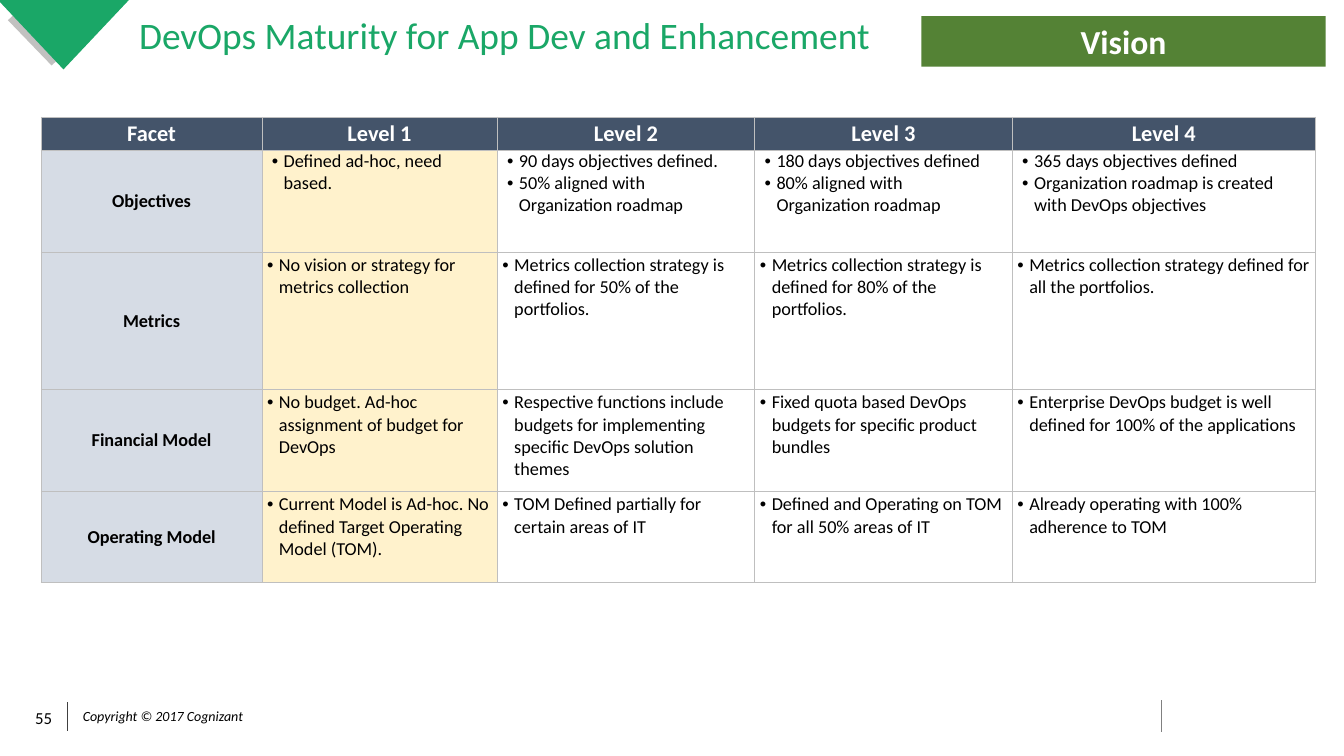
from dataclasses import dataclass

from lxml import etree
from pptx import Presentation
from pptx.dml.color import RGBColor
from pptx.enum.shapes import MSO_CONNECTOR, MSO_SHAPE
from pptx.enum.text import MSO_ANCHOR, PP_ALIGN
from pptx.oxml.ns import qn
from pptx.util import Cm, Pt

LEFT, CENTER = PP_ALIGN.LEFT, PP_ALIGN.CENTER
TOP, MIDDLE = MSO_ANCHOR.TOP, MSO_ANCHOR.MIDDLE
RECTANGLE, STRAIGHT = MSO_SHAPE.RECTANGLE, MSO_CONNECTOR.STRAIGHT
TITLE_ONLY = 5


@dataclass(frozen=True)
class Theme:
    font: str = "Calibri"
    green: str = "1AA767"
    badge: str = "548235"
    shade: str = "C1C1C0"
    header: str = "44546A"
    facet: str = "D6DCE5"
    current: str = "FFF2CC"
    border: str = "BFBFBF"
    dark_rule: str = "404040"
    light_rule: str = "808080"
    white: str = "FFFFFF"
    black: str = "000000"
    title_size: float = 26.7
    badge_size: float = 24
    header_size: float = 16
    body_size: float = 13
    number_size: float = 12
    copyright_size: float = 10


@dataclass(frozen=True)
class Box:
    """A region of the slide, in centimetres."""
    left: float
    top: float
    width: float
    height: float

    def lengths(self):
        return Cm(self.left), Cm(self.top), Cm(self.width), Cm(self.height)


THEME = Theme()
COLUMN_WIDTHS = (5.56, 5.93, 6.49, 6.49, 7.64)
ROW_HEIGHTS = (0.81, 2.57, 3.46, 2.57, 2.29)
HEADINGS = ("Facet", "Level 1", "Level 2", "Level 3", "Level 4")
FACETS = (
    ("Objectives",
     ["Defined ad-hoc, need based."],
     ["90 days objectives defined.", "50% aligned with Organization roadmap"],
     ["180 days objectives defined", "80% aligned with Organization roadmap"],
     ["365 days objectives defined",
      "Organization roadmap is created with DevOps objectives"]),
    ("Metrics",
     ["No vision or strategy for metrics collection"],
     ["Metrics collection strategy is defined for 50% of the portfolios."],
     ["Metrics collection strategy is defined for 80% of the portfolios."],
     ["Metrics collection strategy defined for all the portfolios."]),
    ("Financial Model",
     ["No budget. Ad-hoc assignment of budget for DevOps"],
     ["Respective functions include budgets for implementing specific "
      "DevOps solution themes"],
     ["Fixed quota based DevOps budgets for specific product bundles"],
     ["Enterprise DevOps budget is well defined for 100% of the applications"]),
    ("Operating Model",
     ["Current Model is Ad-hoc. No defined Target Operating Model (TOM)."],
     ["TOM Defined partially for certain areas of IT"],
     ["Defined and Operating on TOM for all 50% areas of IT"],
     ["Already operating with 100% adherence to TOM"]),
)
# Cell margins: left, top, right, bottom
HEADER_MARGINS = (0.08, 0.08, 0.08, 0.08)
FACET_MARGINS = (0.18, 0.08, 0.18, 0.08)
OBJECTIVE_MARGINS = (0.25, 0, 0.35, 0)
LEVEL_MARGINS = (0.13, 0.05, 0.13, 0.05)


def paint(fill, color):
    fill.solid()
    fill.fore_color.rgb = RGBColor.from_string(color)


def add_bullet(para):
    properties = para._p.get_or_add_pPr()
    properties.set("marL", str(Cm(0.3)))
    properties.set("indent", str(-Cm(0.3)))
    etree.SubElement(properties, qn("a:buFont"), typeface="Arial")
    etree.SubElement(properties, qn("a:buChar"), char="•")


def write(frame, *lines, size, color=THEME.black, bold=False, italic=False,
          align=LEFT, bullet=False, spacing=None):
    for index, line in enumerate(lines):
        para = frame.add_paragraph() if index else frame.paragraphs[0]
        if bullet:
            add_bullet(para)
        para.alignment = align
        if spacing:
            para.line_spacing = spacing
        span = para.add_run()
        span.text = line
        span.font.name = THEME.font
        span.font.size = Pt(size)
        span.font.bold = bold
        span.font.italic = italic
        span.font.color.rgb = RGBColor.from_string(color)


def add_label(page, box, text, wrap=True, **style):
    frame = page.shapes.add_textbox(*box.lengths()).text_frame
    frame.word_wrap = wrap
    frame.vertical_anchor = MIDDLE
    frame.margin_left = frame.margin_right = 0
    frame.margin_top = frame.margin_bottom = 0
    write(frame, text, align=CENTER, **style)


def add_rule(page, left, top, height, color):
    rule = page.shapes.add_connector(
        STRAIGHT, Cm(left), Cm(top), Cm(left), Cm(top + height))
    rule.line.color.rgb = RGBColor.from_string(color)
    rule.line.width = Pt(0.5)
    etree.SubElement(rule._element.spPr, qn("a:effectLst"))


def add_outline(page, box, points, color):
    corners = [(Cm(box.left + x), Cm(box.top + y)) for x, y in points]
    builder = page.shapes.build_freeform(*corners[0])
    builder.add_line_segments(corners[1:], close=True)
    outline = builder.convert_to_shape()
    outline.shadow.inherit = False
    outline.line.fill.background()
    paint(outline.fill, color)


def add_corner(page, box):
    stripe = [(1.57, 1.45), (1.35, 1.65), (0.25, 0.51), (0.48, 0.3)]
    triangle = [(box.width / 2, box.height), (box.width, 0), (0, 0)]
    add_outline(page, box, stripe, THEME.shade)
    add_outline(page, box, triangle, THEME.green)


def add_title(page, box):
    title = page.shapes.title
    title.left, title.top, title.width, title.height = box.lengths()
    title.text_frame.vertical_anchor = MIDDLE
    write(title.text_frame, "DevOps Maturity for App Dev and Enhancement",
          size=THEME.title_size, color=THEME.green, spacing=0.9)


def add_badge(page, box):
    badge = page.shapes.add_shape(RECTANGLE, *box.lengths())
    badge.shadow.inherit = False
    badge.line.fill.background()
    paint(badge.fill, THEME.badge)
    badge.text_frame.vertical_anchor = MIDDLE
    write(badge.text_frame, "Vision", size=THEME.badge_size,
          color=THEME.white, bold=True, align=CENTER)


def format_cell(cell, fill, margins, anchor):
    cell.margin_left, cell.margin_top, cell.margin_right, cell.margin_bottom = map(Cm, margins)
    cell.vertical_anchor = anchor
    paint(cell.fill, fill)
    properties = cell._tc.get_or_add_tcPr()
    for position, side in enumerate(("a:lnL", "a:lnR", "a:lnT", "a:lnB")):
        edge = etree.Element(qn(side), w=str(Pt(0.5)))
        solid = etree.SubElement(edge, qn("a:solidFill"))
        etree.SubElement(solid, qn("a:srgbClr"), val=THEME.border)
        properties.insert(position, edge)


def add_maturity_table(page, box):
    table = page.shapes.add_table(
        len(ROW_HEIGHTS), len(COLUMN_WIDTHS), *box.lengths()).table
    table.horz_banding = False
    for column, width in zip(table.columns, COLUMN_WIDTHS):
        column.width = Cm(width)
    for row, height in zip(table.rows, ROW_HEIGHTS):
        row.height = Cm(height)
    for cell, heading in zip(table.rows[0].cells, HEADINGS):
        format_cell(cell, THEME.header, HEADER_MARGINS, MIDDLE)
        write(cell.text_frame, heading, size=THEME.header_size,
              color=THEME.white, bold=True, align=CENTER)
    for number, (facet, *levels) in enumerate(FACETS, start=1):
        cell = table.cell(number, 0)
        format_cell(cell, THEME.facet, FACET_MARGINS, MIDDLE)
        write(cell.text_frame, facet, size=THEME.body_size, bold=True, align=CENTER)
        margins = OBJECTIVE_MARGINS if number == 1 else LEVEL_MARGINS
        for level, points in enumerate(levels, start=1):
            cell = table.cell(number, level)
            fill = THEME.current if level == 1 else THEME.white
            format_cell(cell, fill, margins, TOP)
            write(cell.text_frame, *points, size=THEME.body_size, bullet=True)


def add_footer(page, box):
    add_rule(page, box.left + 1.3, box.top + 0.05, 0.71, THEME.dark_rule)
    add_rule(page, box.left + box.width, box.top, box.height, THEME.light_rule)
    add_label(page, Box(box.left, box.top + 0.05, 1.4, 0.76), "55",
              wrap=False, size=THEME.number_size)
    add_label(page, Box(box.left + 1.42, box.top + 0.1, 4.57, 0.58),
              "Copyright © 2017 Cognizant", size=THEME.copyright_size, italic=True)


def main():
    deck = Presentation()
    deck.slide_width, deck.slide_height = Cm(33.87), Cm(19.05)
    page = deck.slides.add_slide(deck.slide_layouts[TITLE_ONLY])
    add_corner(page, Box(-0.05, 0, 3.3, 1.75))
    add_footer(page, Box(0.4, 17.65, 28.86, 0.8))
    add_title(page, Box(3.25, 0.23, 29.9, 1.42))
    add_maturity_table(page, Box(1.04, 2.95, sum(COLUMN_WIDTHS), sum(ROW_HEIGHTS)))
    add_badge(page, Box(23.22, 0.41, 10.19, 1.27))
    deck.save("out.pptx")


if __name__ == "__main__":
    main()
